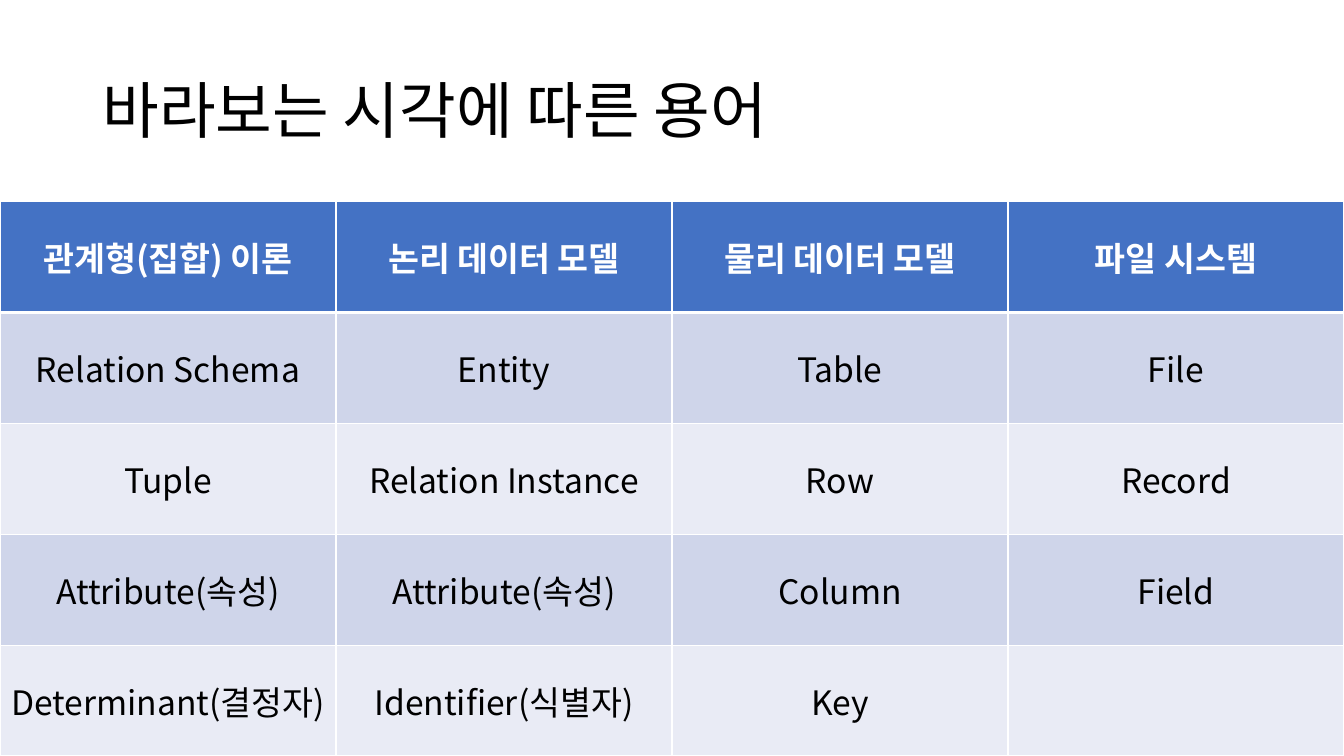
from lxml import etree
from pptx import Presentation
from pptx.dml.color import RGBColor
from pptx.enum.text import MSO_ANCHOR, MSO_AUTO_SIZE, PP_ALIGN
from pptx.oxml import parse_xml
from pptx.oxml.ns import nsdecls, qn
from pptx.util import Cm, Pt

MIDDLE = MSO_ANCHOR.MIDDLE
NO_AUTOFIT = MSO_AUTO_SIZE.NONE
LEFT, CENTER = PP_ALIGN.LEFT, PP_ALIGN.CENTER

BLACK = RGBColor(0x00, 0x00, 0x00)
WHITE = RGBColor(0xFF, 0xFF, 0xFF)
HEADER_BLUE = RGBColor(0x44, 0x72, 0xC4)
BAND_DARK = RGBColor(0xCF, 0xD5, 0xEA)
BAND_LIGHT = RGBColor(0xE9, 0xEB, 0xF5)
FONT = "Noto Sans CJK KR"

TERMS = [
    ["관계형(집합) 이론", "논리 데이터 모델", "물리 데이터 모델", "파일 시스템"],
    ["Relation Schema", "Entity", "Table", "File"],
    ["Tuple", "Relation Instance", "Row", "Record"],
    ["Attribute(속성)", "Attribute(속성)", "Column", "Field"],
    ["Determinant(결정자)", "Identifier(식별자)", "Key", ""],
]


def format_text(para, size, color, bold, align):
    """Format a paragraph and its runs, for Latin and Korean letters alike."""
    para.alignment = align
    for span in para.runs:
        font = span.font
        font.name, font.size, font.bold = FONT, Pt(size), bold
        font.color.rgb = color
        korean = etree.SubElement(font._element, qn("a:ea"))
        korean.set("typeface", FONT)


def add_border(cell, side, points):
    """Draw a white line on one side of a cell; call before the fill is set."""
    cell._tc.get_or_add_tcPr().append(parse_xml(
        f'<a:{side} {nsdecls("a")} w="{Pt(points)}"><a:solidFill>'
        f'<a:srgbClr val="{WHITE}"/></a:solidFill></a:{side}>'))


deck = Presentation()
deck.slide_width, deck.slide_height = Cm(33.87), Cm(19.05)
page = deck.slides.add_slide(deck.slide_layouts[5])

title = page.shapes.title
title.left, title.top, title.width, title.height = Cm(2.33), Cm(1.01), Cm(29.21), Cm(3.68)
frame = title.text_frame
frame.text = "바라보는 시각에 따른 용어"
frame.word_wrap = True
frame.auto_size = NO_AUTOFIT
frame.vertical_anchor = MIDDLE
frame.paragraphs[0].line_spacing = 0.9
format_text(frame.paragraphs[0], 44, BLACK, False, LEFT)

table = page.shapes.add_table(
    len(TERMS), len(TERMS[0]), Cm(0), Cm(5.08), deck.slide_width, Cm(13.97)).table

for row, terms in enumerate(TERMS):
    is_header = row == 0
    if is_header:
        fill_color, text_color = HEADER_BLUE, WHITE
    else:
        fill_color, text_color = (BAND_DARK if row % 2 else BAND_LIGHT), BLACK
    for column, term in enumerate(terms):
        cell = table.cell(row, column)
        add_border(cell, "lnL", 1)
        add_border(cell, "lnR", 1)
        add_border(cell, "lnT", 3 if row == 1 else 1)
        add_border(cell, "lnB", 3 if is_header else 1)
        cell.fill.solid()
        cell.fill.fore_color.rgb = fill_color
        cell.vertical_anchor = MIDDLE
        para = cell.text_frame.paragraphs[0]
        if term:
            para.text = term
        format_text(para, 24, text_color, is_header, CENTER)

deck.save("out.pptx")
